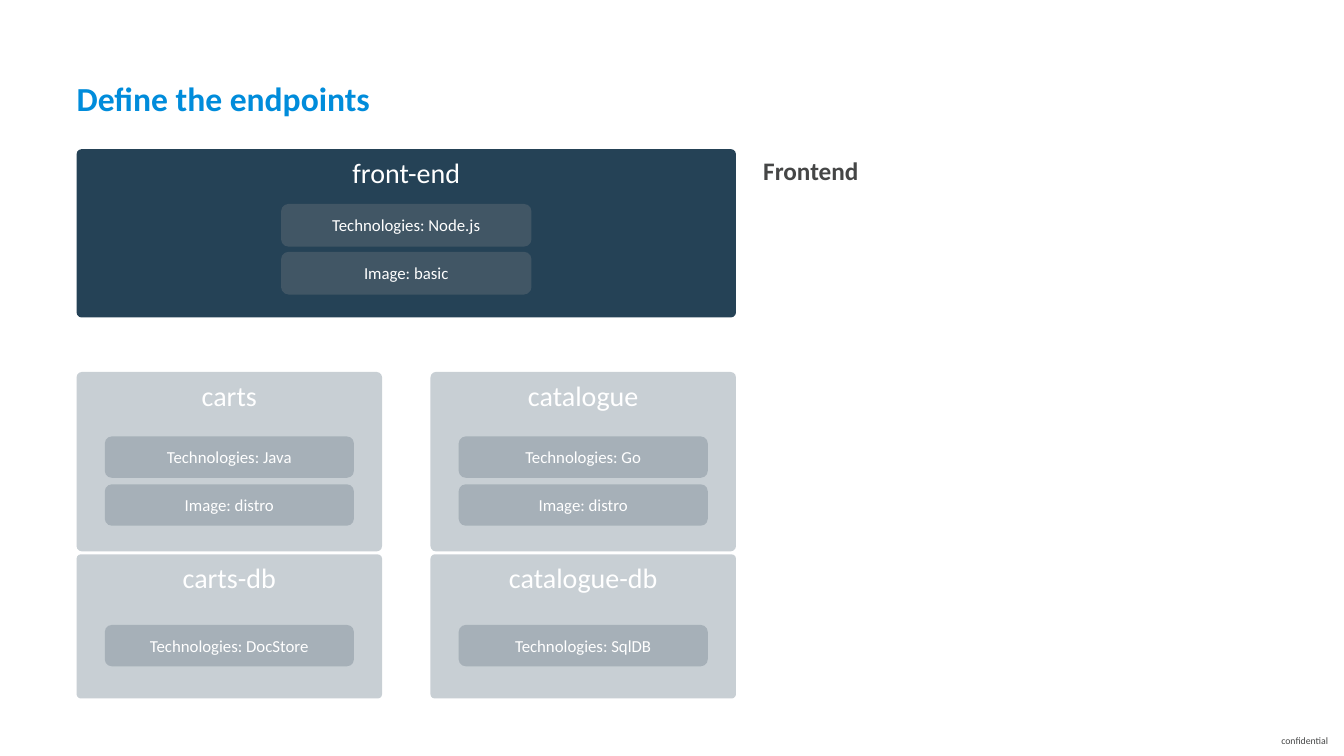
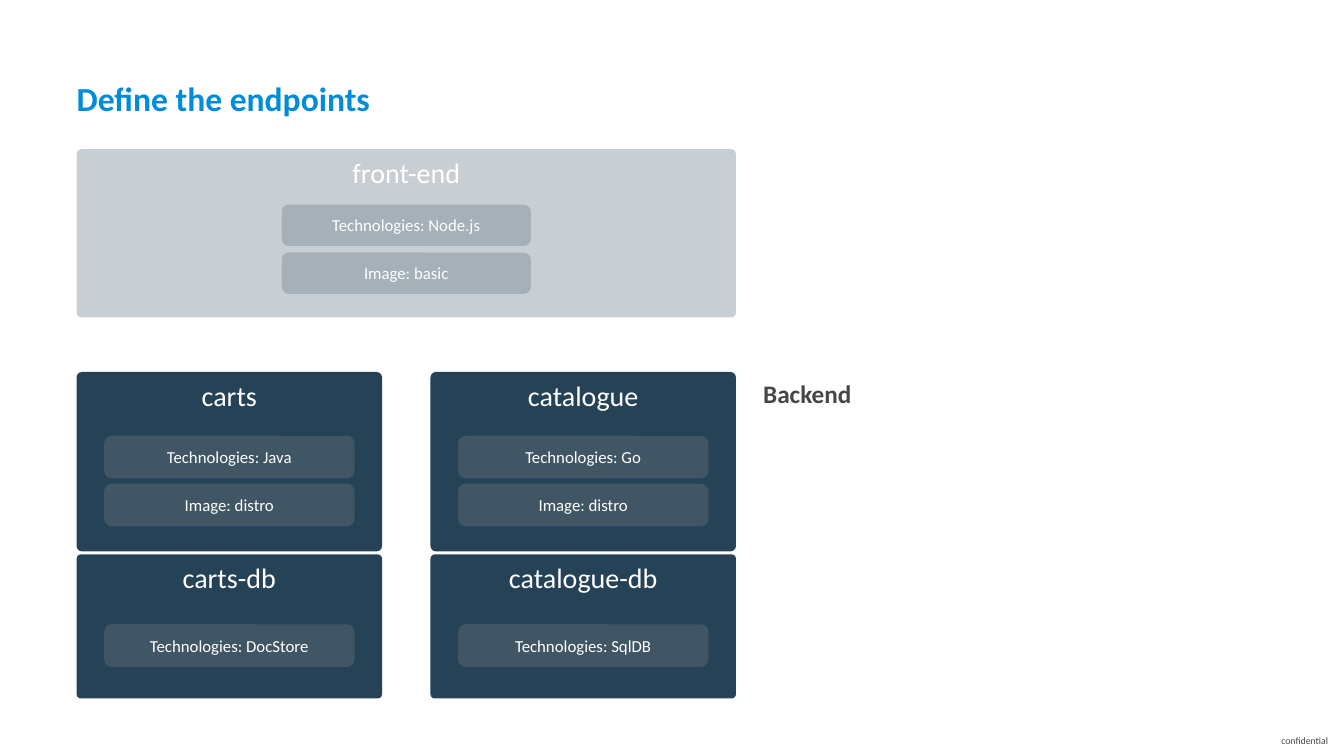
from lxml import etree
from pptx import Presentation
from pptx.dml.color import RGBColor
from pptx.enum.shapes import MSO_SHAPE
from pptx.enum.text import MSO_ANCHOR, PP_ALIGN
from pptx.oxml.ns import qn
from pptx.util import Inches, Pt

ROUND = MSO_SHAPE.ROUNDED_RECTANGLE
TOP, MIDDLE = MSO_ANCHOR.TOP, MSO_ANCHOR.MIDDLE
LEFT, CENTER = PP_ALIGN.LEFT, PP_ALIGN.CENTER

FONT = "Calibri"
BLUE, NAVY, SLATE, GREY, WHITE = "008CDB", "254256", "415665", "454646", "FFFFFF"
FADE = 25

EDGE, COL2 = 0.76, 4.27
WIDE, HALF = 6.54, 3.03
FRONT_Y, BACK_Y, DATA_Y = 1.48, 3.69, 5.5
PILL_W, PILL_H, PILL_STEP = 2.47, 0.41, 0.475
NOTE_X, NOTE_W, NOTE_H = 7.57, 4.37, 0.5

# tier, name, box, offset of the first pill, pills
PANELS = [
    ("Frontend", "front-end", (EDGE, FRONT_Y, WIDE, 1.67), 0.55,
     ["Technologies: Node.js", "Image: basic"]),
    ("Backend", "carts", (EDGE, BACK_Y, HALF, 1.78), 0.64,
     ["Technologies: Java", "Image: distro"]),
    ("Backend", "carts-db", (EDGE, DATA_Y, HALF, 1.43), 0.7,
     ["Technologies: DocStore"]),
    ("Backend", "catalogue", (COL2, BACK_Y, HALF, 1.78), 0.64,
     ["Technologies: Go", "Image: distro"]),
    ("Backend", "catalogue-db", (COL2, DATA_Y, HALF, 1.43), 0.7,
     ["Technologies: SqlDB"]),
]
TIERS = {"Frontend": FRONT_Y, "Backend": BACK_Y}


def rgb(code):
    return RGBColor.from_string(code)


def write(shape, text, size, color, bold=False, align=CENTER, anchor=MIDDLE,
          space=1.0):
    frame = shape.text_frame
    frame.word_wrap = True
    frame.vertical_anchor = anchor
    para = frame.paragraphs[0]
    para.alignment, para.line_spacing = align, space
    run = para.add_run()
    run.text = text
    look = {"name": FONT, "size": Pt(size), "bold": bold}
    for key, value in look.items():
        setattr(run.font, key, value)
    run.font.color.rgb = rgb(color)


def label(slide, box, text, size, color, **style):
    """Add plain text that fills its box without margins."""
    shape = slide.shapes.add_textbox(*map(Inches, box))
    for side in ("left", "top", "right", "bottom"):
        setattr(shape.text_frame, "margin_" + side, 0)
    write(shape, text, size, color, **style)


def block(slide, box, color, lit):
    """Add a rounded box, see-through unless lit."""
    shape = slide.shapes.add_shape(ROUND, *map(Inches, box))
    shape.shadow.inherit = False
    shape.fill.solid()
    shape.fill.fore_color.rgb = rgb(color)
    shape.line.fill.background()
    if not lit:
        tint = shape._element.spPr.find(qn("a:solidFill"))[0]
        etree.SubElement(tint, qn("a:alpha"), val=str(FADE * 1000))
    return shape


def pill(slide, box, text, lit):
    shape = block(slide, box, SLATE, lit)
    if lit:
        shape.line.color.rgb = rgb(SLATE)
        shape.line.width = Pt(1)
    write(shape, text, 12, WHITE)


def panel(slide, box, name, first, pills, lit):
    left, top, width, _ = box
    shape = block(slide, box, NAVY, lit)
    shape.adjustments[0] = 0.03
    write(shape, name, 20, WHITE, anchor=TOP)
    x = left + (width - PILL_W) / 2
    for i, text in enumerate(pills):
        y = top + first + i * PILL_STEP
        pill(slide, (x, y, PILL_W, PILL_H), text, lit)


def base(deck, title):
    """Add a blank slide with the shared title and footer."""
    slide = deck.slides.add_slide(deck.slide_layouts[6])
    label(slide, (12.55, 7.3, 0.78, 0.1), "confidential", 7, GREY)
    label(slide, (EDGE, 0.57, 11.78, 0.73), title, 24, BLUE, bold=True,
          align=LEFT, space=1.2)
    return slide


def tier_slide(deck, active):
    """Show all panels, with one tier lit and named beside it."""
    slide = base(deck, "Define the endpoints")
    for tier, name, box, first, pills in PANELS:
        panel(slide, box, name, first, pills, tier == active)
    label(slide, (NOTE_X, TIERS[active], NOTE_W, NOTE_H), active, 18, GREY,
          bold=True, align=LEFT, anchor=TOP, space=1.2)


def main():
    deck = Presentation()
    deck.slide_width, deck.slide_height = Inches(13.33), Inches(7.5)
    for tier in TIERS:
        tier_slide(deck, tier)
    deck.save("out.pptx")


if __name__ == "__main__":
    main()
